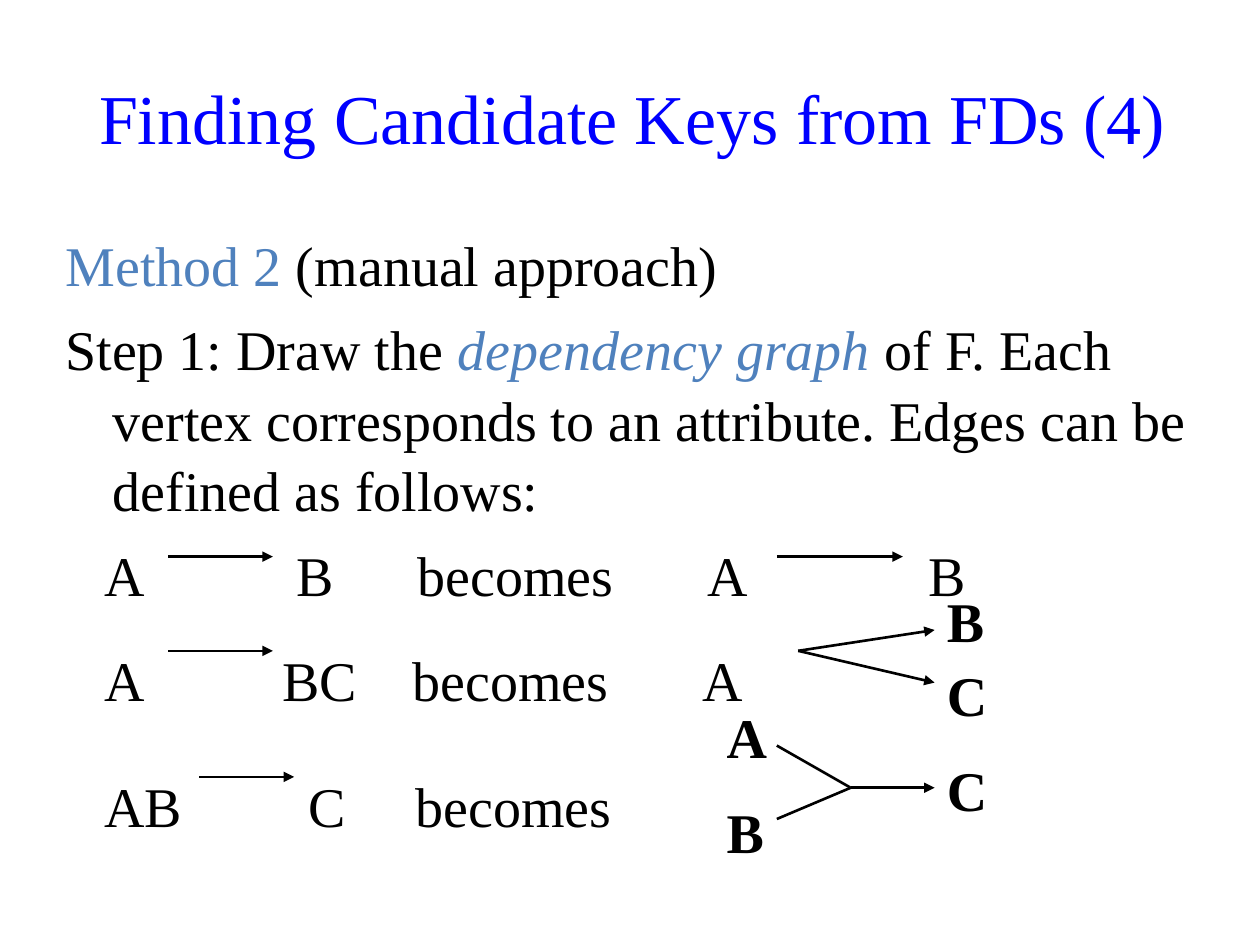
from typing import NamedTuple

from lxml import etree
from pptx import Presentation
from pptx.dml.color import RGBColor
from pptx.enum.shapes import MSO_CONNECTOR
from pptx.enum.text import MSO_ANCHOR, PP_ALIGN
from pptx.oxml.ns import qn
from pptx.util import Cm, Pt

STRAIGHT = MSO_CONNECTOR.STRAIGHT
MIDDLE, TOP = MSO_ANCHOR.MIDDLE, MSO_ANCHOR.TOP
CENTER = PP_ALIGN.CENTER
FONT = "Times New Roman"
BLUE, ACCENT, BLACK = "0000FF", "4F81BD", "000000"
LEFT, WIDE = 1.07, 23.7
LEAD = 1.05


class Part(NamedTuple):
    text: str
    color: str = BLACK
    italic: bool = False


class Row(NamedTuple):
    words: list[str]
    stops: list[float]
    lead: float = LEAD
    gap: float = 8


class Label(NamedTuple):
    text: str
    x: float
    y: float


class Edge(NamedTuple):
    x1: float
    y1: float
    x2: float
    y2: float
    arrow: bool = True


INTRO = [
    [Part("Method 2", ACCENT), Part(" (manual approach)")],
    [Part("Step 1: Draw the "), Part("dependency graph", ACCENT, True),
     Part(" of F. Each vertex corresponds to an attribute. "
          "Edges can be defined as follows:")],
]
ROWS = [
    Row(["A", "B", "becomes", "A", "B"], [0.78, 4.65, 7.1, 12.95, 17.4]),
    Row(["A", "BC", "becomes", "A"], [0.78, 4.37, 7, 12.85], 1.36),
    Row(["AB", "C", "becomes"], [0.78, 4.9, 7.06], gap=31.7),
]
LABELS = [
    Label("B", 18.84, 11.64), Label("C", 18.84, 13.12),
    Label("A", 14.4, 13.97), Label("B", 14.4, 15.88),
    Label("C", 18.84, 15.03),
]
EDGES = [
    Edge(3.39, 11.22, 5.5, 11.22), Edge(15.66, 11.22, 18.2, 11.22),
    Edge(3.39, 13.12, 5.5, 13.12), Edge(4.02, 15.66, 5.93, 15.66),
    Edge(16.09, 13.12, 18.84, 12.7), Edge(16.09, 13.12, 18.84, 13.76),
    Edge(15.66, 15.03, 17.15, 15.88, False),
    Edge(15.66, 16.51, 17.15, 15.88, False),
    Edge(17.15, 15.88, 18.84, 15.88),
]


def rgb(code: str) -> RGBColor:
    return RGBColor.from_string(code)


def style(run, size: float = 32, color: str = BLACK) -> None:
    run.font.name, run.font.size = FONT, Pt(size)
    run.font.color.rgb = rgb(color)


def add_box(slide, x: float, y: float, w: float, h: float):
    frame = slide.shapes.add_textbox(Cm(x), Cm(y), Cm(w), Cm(h)).text_frame
    frame.word_wrap = True
    frame.vertical_anchor = TOP
    return frame


def add_title(slide, text: str) -> None:
    title = slide.shapes.title
    title.left, title.top = Cm(LEFT), Cm(LEFT)
    title.width, title.height = Cm(WIDE), Cm(2.54)
    frame = title.text_frame
    frame.text = text
    frame.vertical_anchor = MIDDLE
    para = frame.paragraphs[0]
    para.alignment = CENTER
    style(para.runs[0], 40, BLUE)


def fill_intro(para, parts: list[Part]) -> None:
    para.line_spacing, para.space_before = LEAD, Pt(8)
    props = para._p.get_or_add_pPr()
    props.set("marL", str(Cm(0.95)))
    props.set("indent", str(Cm(-0.95)))
    for part in parts:
        run = para.add_run()
        run.text = part.text
        style(run, color=part.color)
        run.font.italic = part.italic


def fill_row(para, row: Row) -> None:
    para.text = "".join(f"\t{word}" for word in row.words)
    para.line_spacing, para.space_before = row.lead, Pt(row.gap)
    tabs = etree.SubElement(para._p.get_or_add_pPr(), qn("a:tabLst"))
    for stop in row.stops:
        etree.SubElement(tabs, qn("a:tab"), pos=str(Cm(stop)), algn="l")
    for run in para.runs:
        style(run)


def add_body(slide) -> None:
    frame = add_box(slide, LEFT, 4.45, WIDE, 13.97)
    paras = [frame.paragraphs[0]]
    paras += [frame.add_paragraph() for _ in INTRO[1:] + ROWS]
    for para, parts in zip(paras, INTRO):
        fill_intro(para, parts)
    for para, row in zip(paras[len(INTRO):], ROWS):
        fill_row(para, row)


def add_label(slide, label: Label) -> None:
    frame = add_box(slide, label.x, label.y, 1.32, 1.63)
    frame.text = label.text
    para = frame.paragraphs[0]
    para.line_spacing = LEAD
    style(para.runs[0])
    para.runs[0].font.bold = True


def add_edge(slide, edge: Edge) -> None:
    line = slide.shapes.add_connector(
        STRAIGHT, Cm(edge.x1), Cm(edge.y1), Cm(edge.x2), Cm(edge.y2))
    line.line.color.rgb = rgb(BLACK)
    line.line.width = Pt(1.5)
    if edge.arrow:
        etree.SubElement(line.line._get_or_add_ln(), qn("a:tailEnd"),
                         type="triangle")
    etree.SubElement(line._element.spPr, qn("a:effectLst"))


def main() -> None:
    deck = Presentation()
    deck.slide_width, deck.slide_height = Cm(25.4), Cm(19.05)
    slide = deck.slides.add_slide(deck.slide_layouts[5])
    add_title(slide, "Finding Candidate Keys from FDs (4) ")
    add_body(slide)
    for label in LABELS:
        add_label(slide, label)
    for edge in EDGES:
        add_edge(slide, edge)
    deck.save("out.pptx")


if __name__ == "__main__":
    main()
